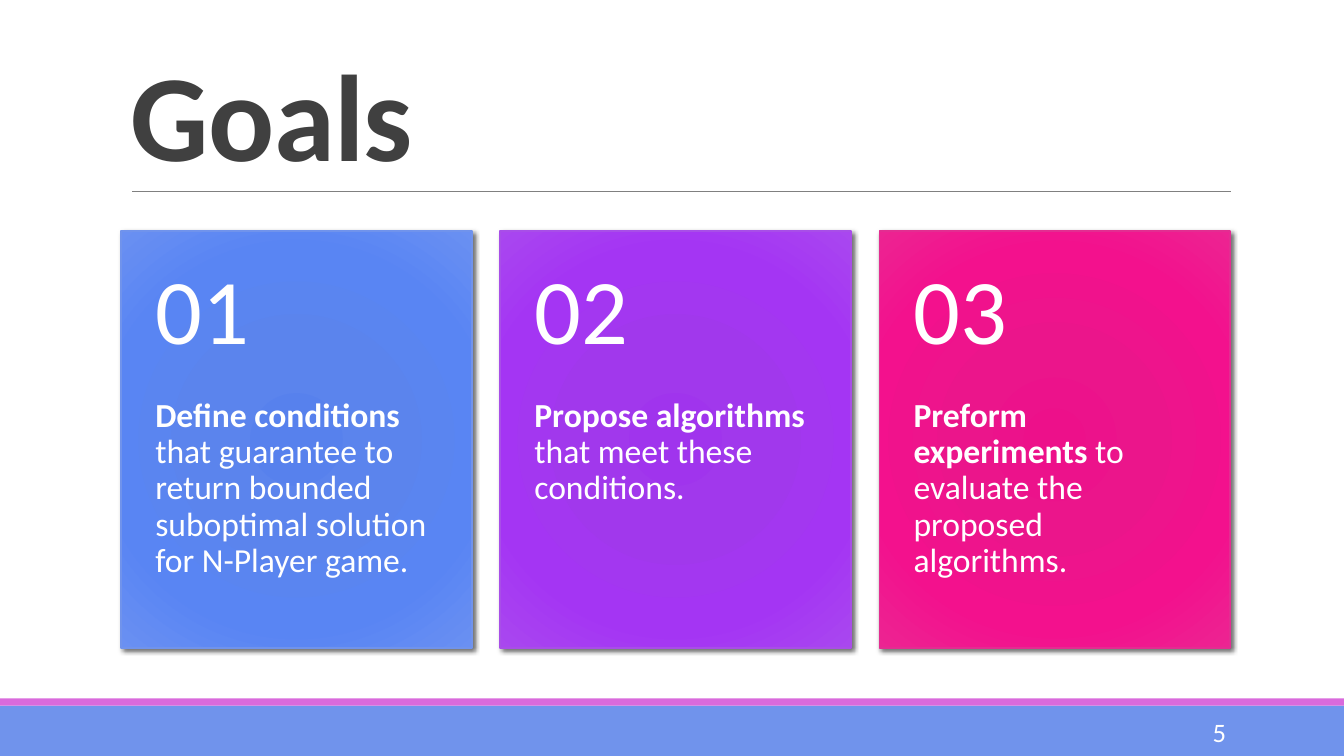
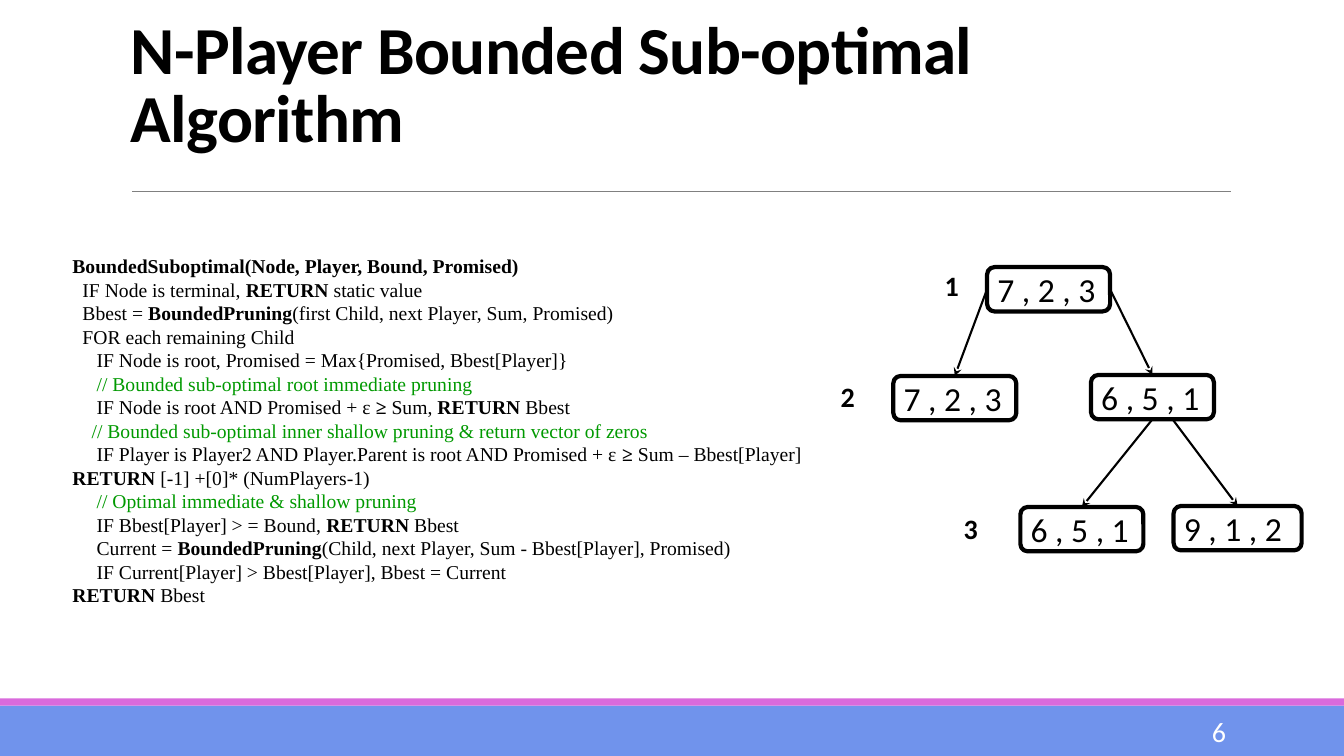
from lxml.etree import SubElement
from pptx import Presentation
from pptx.dml.color import RGBColor
from pptx.enum.shapes import MSO_CONNECTOR, MSO_SHAPE
from pptx.enum.text import MSO_ANCHOR, PP_ALIGN
from pptx.oxml import parse_xml
from pptx.oxml.ns import nsdecls, qn
from pptx.util import Inches, Pt

# Colours and fonts
BLUE = RGBColor(0x70, 0x93, 0xEC)
PURPLE = RGBColor(0xA8, 0x4E, 0xE8)
PINK = RGBColor(0xE3, 0x2D, 0x91)
ORCHID = RGBColor(0xD9, 0x6A, 0xDC)
GREY = RGBColor(0x80, 0x80, 0x80)
DARK = RGBColor(0x40, 0x40, 0x40)
BLACK = RGBColor(0, 0, 0)
WHITE = RGBColor(0xFF, 0xFF, 0xFF)
GREEN = RGBColor(0, 0x99, 0)
SANS = "Calibri"
SERIF = "Times New Roman"

# Goal cards: number, text, edge colour, gradient from centre to rim
STOPS = (0, 34, 70, 100)
GOALS = [
    ("01", "|Define conditions| that guarantee to return bounded suboptimal "
     "solution for N-Player game.", BLUE, "5781ED 5B84ED 5985F3 6A90F2"),
    ("02", "|Propose algorithms| that meet these conditions.",
     PURPLE, "A034ED A138EC A435F3 A947EF"),
    ("03", "|Preform experiments| to evaluate the proposed algorithms.",
     PINK, "ED108A EB158B F3118D EC2492"),
]

# Code lines: indent in inches, text with bold parts between bars
CODE = [
    (0, "|BoundedSuboptimal(Node, Player, Bound, Promised)|"),
    (0.1, "IF Node is terminal, |RETURN| static value"),
    (0.1, "Bbest = |BoundedPruning|(first Child, next Player, Sum, Promised)"),
    (0.1, "FOR each remaining Child"),
    (0.24, "IF Node is root, Promised = Max{Promised, Bbest[Player]}"),
    (0.24, "// Bounded sub-optimal root immediate pruning"),
    (0.24, "IF Node is root AND Promised + ɛ| ≥ |Sum, |RETURN| Bbest"),
    (0.19, "// Bounded sub-optimal inner shallow pruning & return vector of zeros"),
    (0.24, "IF Player is Player2 AND Player.Parent is root AND Promised + ɛ |≥ |"
     "Sum – Bbest[Player]\n|RETURN| [-1] +[0]* (NumPlayers-1)"),
    (0.24, "// Optimal immediate & shallow pruning"),
    (0.24, "IF Bbest[Player] > = Bound, |RETURN| Bbest"),
    (0.24, "Current = |BoundedPruning|(Child, next Player, Sum - Bbest[Player], Promised)"),
    (0.24, "IF Current[Player] > Bbest[Player], Bbest = Current"),
    (0, "|RETURN| Bbest"),
]

# Tree nodes: left, top, width, values; then level labels: left, top, text
NODES = {
    "root": (9.79, 2.65, 1.22, "7 , 2 , 3"),
    "left": (8.86, 3.73, 1.22, "7 , 2 , 3"),
    "right": (10.82, 3.72, 1.22, "6 , 5 , 1"),
    "near": (10.12, 5.03, 1.22, "6 , 5 , 1"),
    "far": (11.64, 5.02, 1.27, "9 , 1 , 2"),
}
LEVELS = [(9.27, 2.61, "1"), (8.24, 3.72, "2"), (9.46, 5.03, "3")]
TALL = 0.44


def place(*vals):
    return [Inches(v) for v in vals]


def write(para, text, size, color, font=SANS, bold=False, track=None):
    """Add runs; bars switch bold, a newline breaks the line."""
    for row, line in enumerate(text.split("\n")):
        if row:
            para.add_line_break()
        for pos, bit in enumerate(line.split("|")):
            if not bit:
                continue
            run = para.add_run()
            run.text = bit
            run.font.size = Pt(size)
            run.font.name = font
            run.font.bold = bold or pos % 2 == 1
            run.font.color.rgb = color
            if track:
                run.font._element.set("spc", str(track))


def setup(frame, inset, anchor):
    frame.word_wrap = True
    frame.vertical_anchor = anchor
    (frame.margin_left, frame.margin_top,
     frame.margin_right, frame.margin_bottom) = place(*inset)
    return frame.paragraphs[0]


def label(slide, area, text, size, color, inset=(0.1, 0.05, 0.1, 0.05),
          anchor=MSO_ANCHOR.TOP, space=1.0, align=PP_ALIGN.LEFT, **style):
    box = slide.shapes.add_textbox(*place(*area))
    para = setup(box.text_frame, inset, anchor)
    para.line_spacing = space
    para.alignment = align
    write(para, text, size, color, **style)


def block(slide, kind, area, fill, edge=None, width=1):
    shape = slide.shapes.add_shape(kind, *place(*area))
    shape.shadow.inherit = False
    shape.fill.solid()
    shape.fill.fore_color.rgb = fill
    if edge is None:
        shape.line.fill.background()
    else:
        shape.line.color.rgb = edge
        shape.line.width = Pt(width)
    return shape


def link(slide, start, end, color, width):
    line = slide.shapes.add_connector(MSO_CONNECTOR.STRAIGHT, *place(*start, *end))
    line.line.color.rgb = color
    line.line.width = Pt(width)
    SubElement(line._element.spPr, qn("a:effectLst"))
    return line


def frame(deck, title, size, color, top, height, page, digit):
    """Start a slide with its bands, rule, title and page number."""
    slide = deck.slides.add_slide(deck.slide_layouts[6])
    block(slide, MSO_SHAPE.RECTANGLE, (0, 7, 13.33, 0.5), BLUE)
    block(slide, MSO_SHAPE.RECTANGLE, (0, 6.93, 13.33, 0.07), ORCHID)
    link(slide, (1.31, 1.9), (12.21, 1.9), GREY, 0.5)
    label(slide, (1.2, top, 11, height), title, size, color,
          anchor=MSO_ANCHOR.BOTTOM, space=0.85, bold=True, track=-50)
    label(slide, (10.83, 7.06, 1.43, 0.4), page, digit, WHITE,
          anchor=MSO_ANCHOR.MIDDLE, align=PP_ALIGN.RIGHT)
    return slide


def glow(shape, tints):
    """Give a shape a round gradient and a soft shadow."""
    stops = "".join(
        f'<a:gs pos="{pos * 1000}"><a:srgbClr val="{tint}"/></a:gs>'
        for pos, tint in zip(STOPS, tints.split()))
    grad = parse_xml(
        f'<a:gradFill {nsdecls("a")} rotWithShape="1"><a:gsLst>{stops}</a:gsLst>'
        '<a:path path="circle"><a:fillToRect l="100000" t="100000" '
        'r="100000" b="100000"/></a:path></a:gradFill>')
    props = shape._element.spPr
    props.replace(props.find(qn("a:solidFill")), grad)
    shade = parse_xml(
        f'<a:outerShdw {nsdecls("a")} blurRad="{Pt(3.5)}" dist="{Pt(2)}" '
        'dir="2700000" algn="tl" rotWithShape="0"><a:srgbClr val="000000">'
        '<a:alpha val="60000"/></a:srgbClr></a:outerShdw>')
    props.find(qn("a:effectLst")).append(shade)


def card(slide, left, num, text, edge, tints):
    shape = block(slide, MSO_SHAPE.RECTANGLE, (left, 2.29, 3.48, 4.14), edge, edge)
    glow(shape, tints)
    label(slide, (left, 3.95, 3.48, 2.48), text, 24, WHITE,
          inset=(0.34, 0, 0.34, 0.36), space=0.9)
    label(slide, (left, 2.29, 3.48, 1.66), num, 66, WHITE,
          inset=(0.34, 0.18, 0.34, 0.18), anchor=MSO_ANCHOR.MIDDLE, space=0.9)


def listing(slide):
    box = slide.shapes.add_textbox(*place(0.62, 2.47, 9.73, 3.64))
    para = setup(box.text_frame, (0.1, 0.05, 0.1, 0.05), MSO_ANCHOR.TOP)
    for row, (indent, text) in enumerate(CODE):
        if row:
            para = box.text_frame.add_paragraph()
        para.line_spacing = Pt(16.8)
        props = para._p.get_or_add_pPr()
        props.set("marL", "0")
        props.set("indent", str(Inches(indent)))
        color = GREEN if text.startswith("//") else BLACK
        write(para, text, 14, color, font=SERIF)


def node(slide, left, top, width, text):
    shape = block(slide, MSO_SHAPE.ROUNDED_RECTANGLE, (left, top, width, TALL),
                  WHITE, BLACK, 3)
    para = setup(shape.text_frame, (0.08, 0.05, 0.05, 0.05), MSO_ANCHOR.MIDDLE)
    para.alignment = PP_ALIGN.LEFT
    write(para, text, 24, BLACK)
    return shape


def arrow(slide, child, head=None, site=2, start=(0, 0)):
    """Point at the top of a child, from a node's side or a free point."""
    line = link(slide, start, (12.28, 5.02), BLACK, 1.5)
    if head is not None:
        line.begin_connect(head, site)
    line.end_connect(child, 0)
    SubElement(line.line._get_or_add_ln(), qn("a:tailEnd"), type="stealth")


def goals(deck):
    slide = frame(deck, "Goals", 88, DARK, 0.31, 1.59, "5", 19)
    for col, goal in enumerate(GOALS):
        card(slide, 1.2 + 3.76 * col, *goal)


def method(deck):
    slide = frame(deck, "N-Player Bounded Sub-optimal Algorithm", 48, BLACK,
                  0.1, 1.5, "6", 20)
    listing(slide)
    # Search tree
    tree = {name: node(slide, *data) for name, data in NODES.items()}
    arrow(slide, tree["left"], tree["root"], 1)
    arrow(slide, tree["right"], tree["root"], 3)
    arrow(slide, tree["near"], tree["right"])
    arrow(slide, tree["far"], start=(11.63, 4.16))
    for left, top, text in LEVELS:
        label(slide, (left, top, 0.29, TALL), text, 20, BLACK, bold=True)


def main():
    deck = Presentation()
    deck.slide_width, deck.slide_height = place(13.33, 7.5)
    goals(deck)
    method(deck)
    deck.save("out.pptx")


if __name__ == "__main__":
    main()
